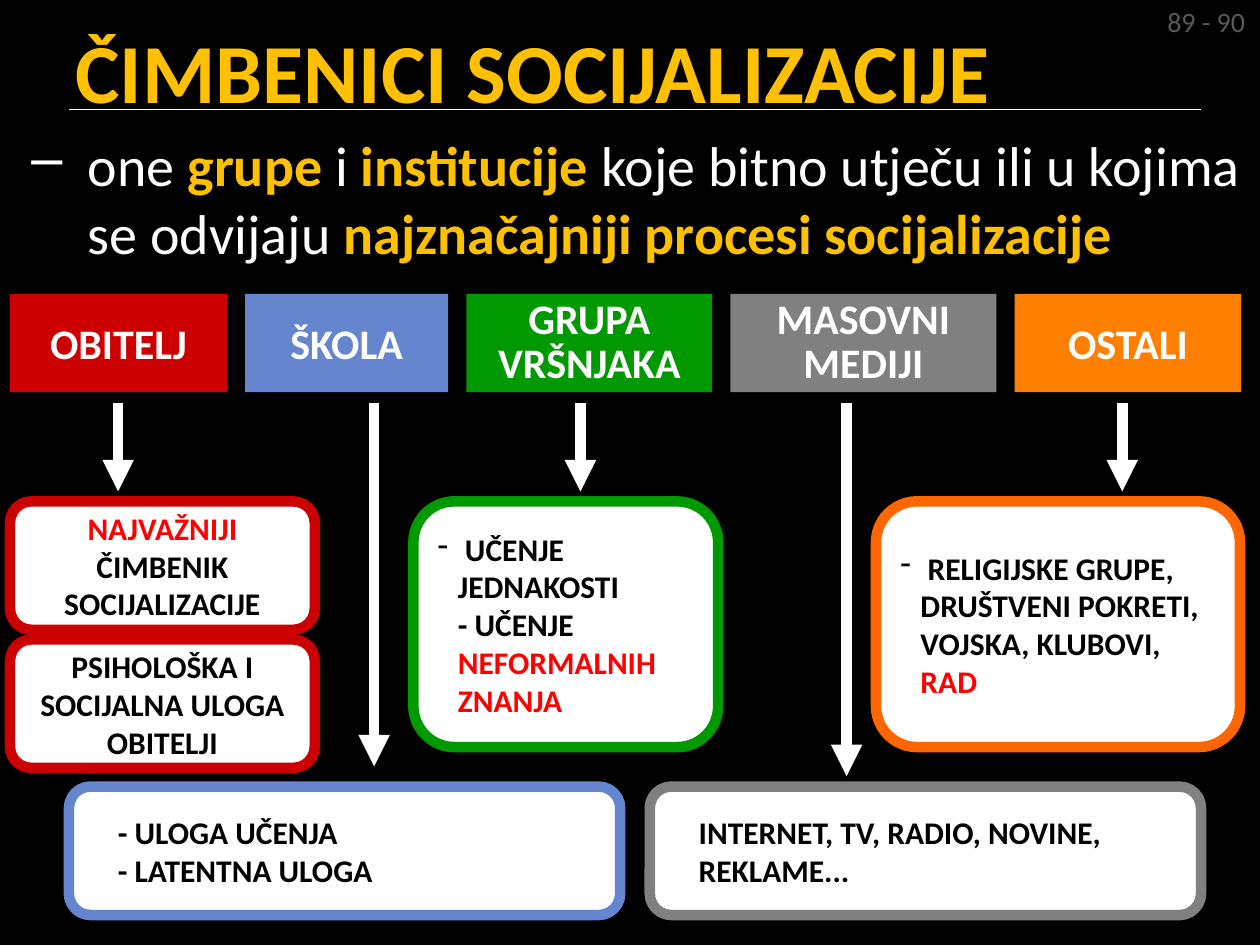
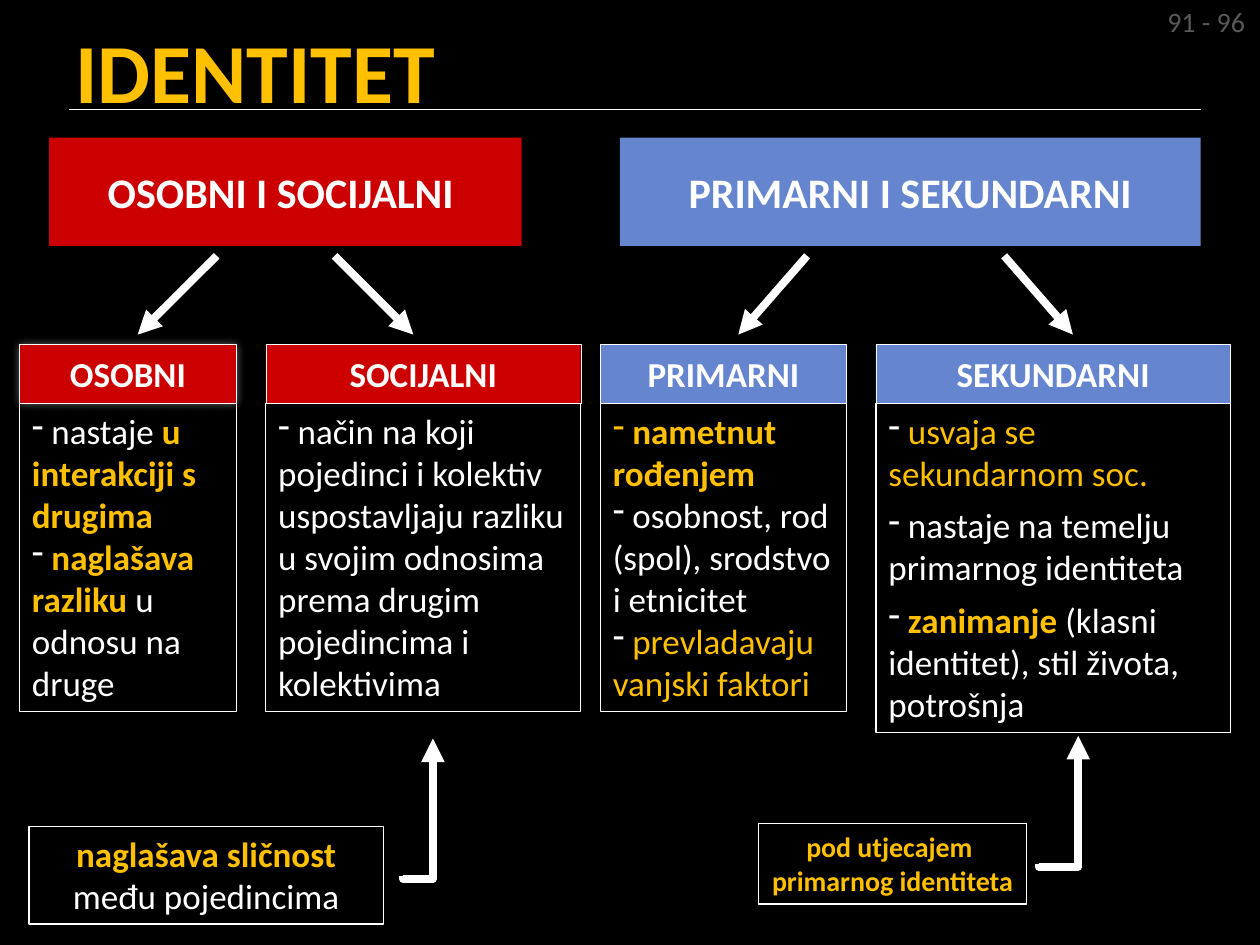
from lxml import etree
from pptx import Presentation
from pptx.dml.color import RGBColor
from pptx.enum import shapes, text
from pptx.oxml import ns
from pptx.util import Pt

FONT = "Calibri"
BLACK, WHITE, GOLD, GREY = "000000", "FFFFFF", "FFC000", "808080"
RED, BLUE, GREEN, ORANGE = "CC0000", "6585CF", "009900", "FF7F00"
BRIGHT_RED, DEEP_ORANGE, PAGE_GREY = "FF0000", "FF6600", "595959"
RECT = shapes.MSO_SHAPE.RECTANGLE
ROUND = shapes.MSO_SHAPE.ROUNDED_RECTANGLE
LEFT, CENTER, RIGHT = text.PP_ALIGN.LEFT, text.PP_ALIGN.CENTER, text.PP_ALIGN.RIGHT
TOP, MIDDLE = text.MSO_ANCHOR.TOP, text.MSO_ANCHOR.MIDDLE


def rgb(code):
    """Turn a hex string into a colour."""
    return RGBColor.from_string(code)


def sub(parent, tag, **attrs):
    """Append a DrawingML element with attributes."""
    el = etree.SubElement(parent, ns.qn(tag))
    for key, value in attrs.items():
        el.set(key, str(value))
    return el


def write(tf, paras, size, align=LEFT, anchor=TOP, bullet=None, left=0, hang=0, before=0, spacing=None):
    """Fill a text frame with paragraphs of (text, colour, bold) runs."""
    tf.word_wrap = True
    tf.vertical_anchor = anchor
    for i, runs in enumerate(paras):
        p = tf.paragraphs[0] if i == 0 else tf.add_paragraph()
        p.alignment = align
        p.space_before = Pt(before)
        if spacing:
            p.line_spacing = Pt(spacing)
        pPr = p._p.get_or_add_pPr()
        pPr.set("marL", str(Pt(left)))
        pPr.set("indent", str(Pt(-hang)))
        if bullet:
            sub(pPr, "a:buChar", char=bullet)
        for words, color, bold in runs:
            for n, part in enumerate(words.split("\n")):
                if n:
                    p.add_line_break()
                r = p.add_run()
                r.text = part
                r.font.name, r.font.size, r.font.bold = FONT, Pt(size), bold
                r.font.color.rgb = rgb(color)


def add_text(s, box, paras, size, **style):
    """Add a text box."""
    tf = s.shapes.add_textbox(*map(Pt, box)).text_frame
    write(tf, paras, size, **style)
    return tf


def add_box(parts, kind, box, paras, size, fill=None, line=None, weight=0.75, **style):
    """Add a filled or outlined shape with text."""
    sp = parts.add_shape(kind, *map(Pt, box))
    sp.shadow.inherit = False
    if fill:
        sp.fill.solid()
        sp.fill.fore_color.rgb = rgb(fill)
    else:
        sp.fill.background()
    if line:
        sp.line.color.rgb = rgb(line)
        sp.line.width = Pt(weight)
    else:
        sp.line.fill.background()
    write(sp.text_frame, paras, size, **style)
    return sp


def add_line(s, start, end, weight, arrow=True, kind=shapes.MSO_CONNECTOR.STRAIGHT):
    """Add a white line, with an arrowhead at its end if wanted."""
    c = s.shapes.add_connector(kind, *map(Pt, (*start, *end)))
    c.line.color.rgb = rgb(WHITE)
    c.line.width = Pt(weight)
    if arrow:
        sub(c.line._get_or_add_ln(), "a:tailEnd", type="triangle")
    sub(c._element.spPr, "a:effectLst")
    return c


def add_elbow(s, start, end, adjust):
    """Add an arrow that runs right and then up from start to end."""
    (x1, y1), (x2, y2) = start, end
    cx, cy, run, rise = (x1 + x2) / 2, (y1 + y2) / 2, x2 - x1, y1 - y2
    c = add_line(s, (cx - rise / 2, cy - run / 2), (cx + rise / 2, cy + run / 2), 4.5,
                 kind=shapes.MSO_CONNECTOR.ELBOW)
    spPr = c._element.spPr
    for key, value in (("rot", "5400000"), ("flipH", "1"), ("flipV", "1")):
        spPr.xfrm.set(key, value)
    guides = spPr.find(ns.qn("a:prstGeom")).get_or_add_avLst()
    sub(guides, "a:gd", name="adj1", fmla=f"val {adjust}")


def add_page(prs, title, pages):
    """Add a black slide with title, rule and page reference."""
    s = prs.slides.add_slide(prs.slide_layouts[6])
    s.background.fill.solid()
    s.background.fill.fore_color.rgb = rgb(BLACK)
    add_line(s, (39.6, 62.6), (686.2, 62.6), 1, arrow=False)
    add_text(s, (36, 5.8, 648, 68.4), [[(title, GOLD, True)]], 48, anchor=MIDDLE)
    tf = add_text(s, (658.8, -0.7, 59.8, 26.6), [[(pages, PAGE_GREY, False)]], 16, align=RIGHT)
    tf.word_wrap = False
    return s


def add_factor_row(s, left, top, height, gap, factors):
    """Place the factor headings side by side, each with its arrow."""
    for name, width, color, arrow_x, arrow_end in factors:
        add_box(s.shapes, RECT, (left, top, width, height), [[(name, WHITE, True)]], 24,
                fill=color, align=CENTER, anchor=MIDDLE, spacing=25 if " " in name else None)
        add_line(s, (arrow_x, top + height + 6), (arrow_x, arrow_end), 6)
        left += width + gap


def add_socialisation(prs):
    """Build the slide on the factors of socialisation."""
    s = add_page(prs, "ČIMBENICI SOCIJALIZACIJE", "89 - 90")
    add_text(s, (0, 71.3, 720, 78.5), [[
        ("one ", WHITE, False), ("grupe ", GOLD, True), ("i ", WHITE, False),
        ("institucije ", GOLD, True),
        ("koje bitno utječu ili u kojima se odvijaju ", WHITE, False),
        ("najznačajniji procesi socijalizacije", GOLD, True)]],
        32, bullet="–", left=43.2, hang=32.4, before=6.4)
    add_factor_row(s, 5.7, 167.9, 56.2, 10.4, [
        ("OBITELJ", 124, RED, 67.5, 280.8),
        ("ŠKOLA", 116, BLUE, 213.8, 438),
        ("GRUPA VRŠNJAKA", 140.5, GREEN, 331.7, 280.8),
        ("MASOVNI MEDIJI", 152, GREY, 483.8, 443.5),
        ("OSTALI", 129.5, ORANGE, 641.3, 280.8)])
    centred = dict(align=CENTER)
    indented = dict(left=17.3)
    dashed = dict(bullet="-", left=11.5, hang=11.5)
    cards = [
        ((5.7, 286.5, 174.2, 73.4), RED, centred,
         [("NAJVAŽNIJI", BRIGHT_RED, True), (" ČIMBENIK SOCIJALIZACIJE", BLACK, True)]),
        ((5.7, 365.4, 174.2, 73.4), RED, centred,
         [("PSIHOLOŠKA I SOCIJALNA ULOGA OBITELJI", BLACK, True)]),
        ((39.4, 449.5, 315, 73.4), BLUE, indented,
         [("- ULOGA UČENJA\n- LATENTNA ULOGA", BLACK, True)]),
        ((236.2, 286.5, 174.2, 140.4), GREEN, dashed,
         [(" UČENJE JEDNAKOSTI \n- UČENJE ", BLACK, True),
          ("NEFORMALNIH ZNANJA", BRIGHT_RED, True)]),
        ((371.3, 449.5, 315, 73.4), GREY, indented,
         [("INTERNET, TV, RADIO, NOVINE, REKLAME...", BLACK, True)]),
        ((500.6, 286.5, 208, 140.4), DEEP_ORANGE, dashed,
         [(" RELIGIJSKE GRUPE, \nDRUŠTVENI POKRETI, \nVOJSKA, KLUBOVI, ", BLACK, True),
          ("RAD", BRIGHT_RED, True)])]
    for box, color, style, runs in cards:
        add_box(s.shapes, ROUND, box, [runs], 18, fill=WHITE, line=color, weight=6,
                anchor=MIDDLE, **style)


def add_identity_card(s, box, name, color, paras, before=0, glow=False):
    """Add a grouped heading band with its description below."""
    left, top, width, height = box
    band = 33.6
    parts = s.shapes.add_group_shape().shapes
    add_box(parts, RECT, (left, top + band, width, height - band), paras, 20,
            line=WHITE, bullet="-", before=before)
    sp = add_box(parts, RECT, (left, top, width, band), [[(name, WHITE, True)]], 20,
                 fill=color, line=WHITE, weight=0.25, align=CENTER, anchor=MIDDLE)
    if glow:
        effects = sp._element.spPr.find(ns.qn("a:effectLst"))
        shadow = sub(effects, "a:outerShdw", blurRad=Pt(5), dist=0, dir=0)
        sub(sub(shadow, "a:srgbClr", val=WHITE), "a:alpha", val=40000)


def add_identity(prs):
    """Build the slide on the kinds of identity."""
    s = add_page(prs, "IDENTITET", "91 - 96")
    for left, width, color, name in ((28.1, 270, RED, "OSOBNI I SOCIJALNI "),
                                     (354.2, 332, BLUE, "PRIMARNI I SEKUNDARNI")):
        add_box(s.shapes, RECT, (left, 78.7, width, 61.9), [[(name, WHITE, True)]], 24,
                fill=color, align=CENTER, anchor=MIDDLE)
    for x1, x2 in ((123.8, 78.7), (191.2, 236.2), (461.2, 421.9), (573.8, 613.1)):
        add_line(s, (x1, 146.2), (x2, 191.2), 4.5)

    top, height = 196.8, 210
    add_identity_card(s, (11.2, top, 124, height), "OSOBNI", RED, [
        [(" nastaje ", WHITE, False), ("u interakciji s drugima", GOLD, True)],
        [(" ", WHITE, False), ("naglašava razliku ", GOLD, True),
         ("u odnosu na druge", WHITE, False)]], glow=True)
    add_identity_card(s, (151.9, top, 180, height), "SOCIJALNI", RED, [
        [(" način na koji pojedinci i kolektiv uspostavljaju razliku u svojim odnosima "
          "prema drugim pojedincima i kolektivima", WHITE, False)]])
    add_identity_card(s, (343.1, top, 140.6, height), "PRIMARNI", BLUE, [
        [(" ", GOLD, False), ("nametnut rođenjem", GOLD, True)],
        [(" osobnost, rod (spol), srodstvo i etnicitet", WHITE, False)],
        [(" ", WHITE, False), ("prevladavaju vanjski faktori", GOLD, False)]])
    add_identity_card(s, (500.6, top, 202.5, height + 12), "SEKUNDARNI", BLUE, [
        [(" ", WHITE, False), ("usvaja se sekundarnom soc.", GOLD, False)],
        [(" nastaje na temelju primarnog identiteta", WHITE, False)],
        [(" ", WHITE, False), ("zanimanje", GOLD, True),
         (" (klasni identitet), stil života, potrošnja", WHITE, False)]], before=6)

    add_box(s.shapes, RECT, (16.6, 472.3, 202.5, 55.7), [
        [("naglašava sličnost ", GOLD, True), ("među pojedincima", WHITE, False)]],
        20, line=WHITE, align=CENTER)
    add_box(s.shapes, RECT, (433.4, 470.6, 153.4, 46.1), [
        [("pod utjecajem ", GOLD, True)], [("primarnog identiteta", GOLD, True)]],
        16, line=WHITE, align=CENTER)
    add_elbow(s, (230.4, 500.6), (247.4, 422), -2100)
    add_elbow(s, (593.5, 494), (616.1, 420.5), -1800)


def main():
    """Build and save the presentation."""
    prs = Presentation()
    prs.slide_width, prs.slide_height = Pt(720), Pt(540)
    add_socialisation(prs)
    add_identity(prs)
    prs.save("out.pptx")


if __name__ == "__main__":
    main()
